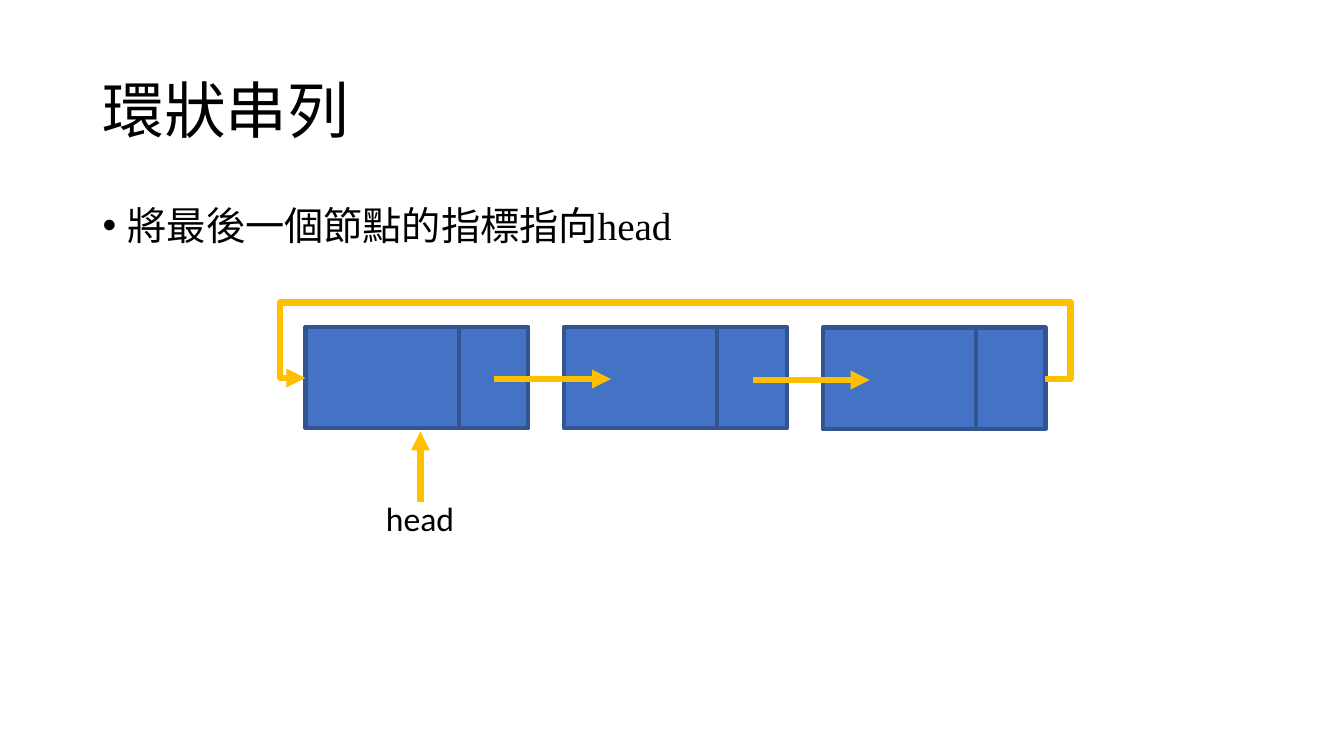
"""Build the circular linked list slide."""
from lxml.etree import SubElement
from pptx import Presentation
from pptx.dml.color import RGBColor
from pptx.enum.shapes import MSO_CONNECTOR, MSO_SHAPE
from pptx.enum.text import MSO_ANCHOR
from pptx.oxml.ns import qn
from pptx.util import Inches, Pt

THEME = {
    "text": RGBColor.from_string("000000"),
    "node": RGBColor.from_string("4472C4"),
    "border": RGBColor.from_string("325491"),
    "arrow": RGBColor.from_string("FFC000"),
    "serif": "Times New Roman",
    "sans": "Calibri",
    "title": Pt(44),
    "body": Pt(28),
    "label": Pt(24),
    "border_width": Pt(3),
    "arrow_width": Pt(4.5),
}


def add_text(box, text, size, font):
    tb = s.shapes.add_textbox(*map(Inches, box))
    tf = tb.text_frame
    tf.word_wrap = True
    p = tf.paragraphs[0]
    r = p.add_run()
    r.text = text
    r.font.size = THEME[size]
    r.font.name = THEME[font]
    r.font.color.rgb = THEME["text"]
    return tf, p


def add_arrow(kind, *ends):
    c = s.shapes.add_connector(kind, *map(Inches, ends))
    c.line.color.rgb = THEME["arrow"]
    c.line.width = THEME["arrow_width"]
    ln = c.line._get_or_add_ln()
    SubElement(ln, qn("a:tailEnd"), type="triangle")
    SubElement(c._element.spPr, qn("a:effectLst"))
    return c


prs = Presentation()
prs.slide_width, prs.slide_height = Inches(13.33), Inches(7.5)
s = prs.slides.add_slide(prs.slide_layouts[6])

tf, p = add_text((0.92, 0.4, 11.5, 1.45), "環狀串列", "title", "serif")
tf.vertical_anchor = MSO_ANCHOR.MIDDLE
p.line_spacing = 0.9

tf, p = add_text((0.92, 2, 11.5, 4.76), "將最後一個節點的指標指向head", "body", "serif")
p.line_spacing = 0.9
p.space_before = Pt(10)
pPr = p._p.get_or_add_pPr()
pPr.set("marL", str(Inches(0.25)))
pPr.set("indent", str(Inches(-0.25)))
SubElement(pPr, qn("a:buFont"), typeface="Arial")
SubElement(pPr, qn("a:buChar"), char="•")

LEFT, PITCH, HEIGHT = 3.03, 2.565, 1.01
DATA_W, POINTER_W = 1.52, 0.69
tops = (3.24, 3.24, 3.25)

for i, top in enumerate(tops):
    x = LEFT + i * PITCH
    node = s.shapes.add_group_shape()
    for left, width in ((x, DATA_W), (x + DATA_W, POINTER_W)):
        sp = node.shapes.add_shape(
            MSO_SHAPE.RECTANGLE, *map(Inches, (left, top, width, HEIGHT)))
        sp.shadow.inherit = False
        sp.fill.solid()
        sp.fill.fore_color.rgb = THEME["node"]
        sp.line.color.rgb = THEME["border"]
        sp.line.width = THEME["border_width"]

for i, y in enumerate((3.76, 3.77)):
    x = 4.9 + i * PITCH
    add_arrow(MSO_CONNECTOR.STRAIGHT, x, y, x + 1.16, y)

add_arrow(MSO_CONNECTOR.STRAIGHT, 4.17, 4.98, 4.17, 4.28)
add_text((3.73, 4.89, 0.93, 0.5), "head", "label", "sans")

loop = add_arrow(MSO_CONNECTOR.ELBOW, 10.37, 3.76, LEFT, 3.75)
geom = loop._element.spPr.find(qn("a:prstGeom"))
geom.set("prst", "bentConnector5")
avLst = geom.find(qn("a:avLst"))
for n, ratio in enumerate((-0.034, 77, 1.034), 1):
    SubElement(avLst, qn("a:gd"), name=f"adj{n}", fmla=f"val {round(ratio * 100000)}")

prs.save("out.pptx")
